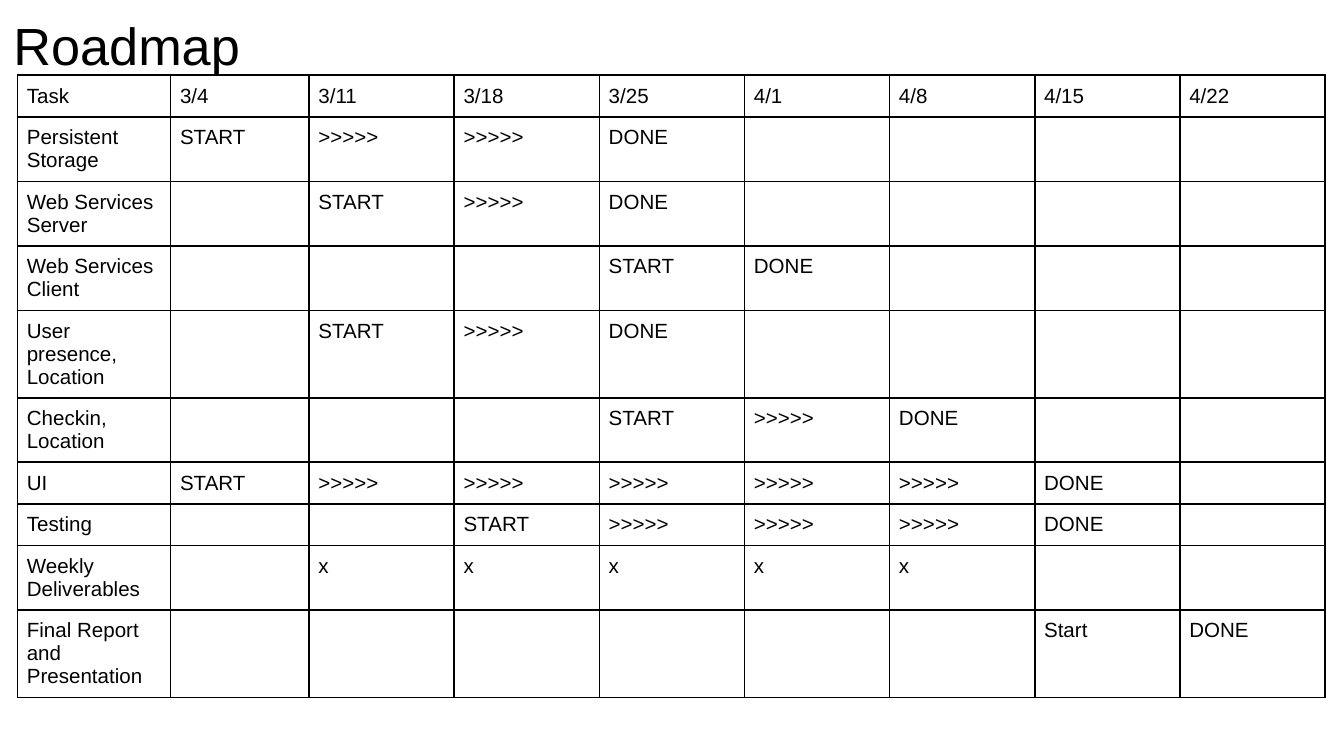
from lxml import etree
from pptx import Presentation
from pptx.dml.color import RGBColor
from pptx.enum.text import MSO_ANCHOR, MSO_AUTO_SIZE, PP_ALIGN
from pptx.oxml.ns import qn
from pptx.util import Inches, Pt

TOP, LEFT, NO_FIT = MSO_ANCHOR.TOP, PP_ALIGN.LEFT, MSO_AUTO_SIZE.NONE
INK = "000000"
GO, MORE, DONE = "START", ">>>>>", "DONE"


def write(frame, text, size, color=INK, font="Arial"):
    frame.text = text
    frame.word_wrap = True
    for paragraph in frame.paragraphs:
        paragraph.alignment = LEFT
        for run in paragraph.runs:
            run.font.size = Pt(size)
            run.font.name = font
            run.font.color.rgb = RGBColor.from_string(color)
        if not text:
            ending = etree.SubElement(paragraph._p, qn("a:endParaRPr"), sz=str(size * 100))
            etree.SubElement(ending, qn("a:latin"), typeface=font)


def outline(cell, color=INK, width=1):
    properties = cell._tc.get_or_add_tcPr()
    for position, side in enumerate(("a:lnL", "a:lnR", "a:lnT", "a:lnB")):
        line = etree.Element(qn(side), w=str(Pt(width)))
        fill = etree.SubElement(line, qn("a:solidFill"))
        etree.SubElement(fill, qn("a:srgbClr"), val=color)
        properties.insert(position, line)


prs = Presentation()
prs.slide_width = Inches(10)
prs.slide_height = prs.slide_width * 9 // 16
slide = prs.slides.add_slide(prs.slide_layouts[5])

title = slide.shapes.title
title.left, title.top = 0, 0
title.width, title.height = Inches(9.32), Inches(0.63)
heading = title.text_frame
heading.auto_size = NO_FIT
heading.vertical_anchor = TOP
heading.margin_left = heading.margin_right = Inches(0.1)
heading.margin_top = heading.margin_bottom = Inches(0.1)
write(heading, "Roadmap", 28)

weeks = ["3/4", "3/11", "3/18", "3/25", "4/1", "4/8", "4/15", "4/22"]
tasks = [
    ("Task", 0, weeks),
    ("Persistent Storage", 0, [GO, MORE, MORE, DONE]),
    ("Web Services\nServer", 1, [GO, MORE, DONE]),
    ("Web Services Client", 3, [GO, DONE]),
    ("User presence, Location", 1, [GO, MORE, DONE]),
    ("Checkin, Location", 3, [GO, MORE, DONE]),
    ("UI", 0, [GO] + [MORE] * 5 + [DONE]),
    ("Testing", 2, [GO] + [MORE] * 3 + [DONE]),
    ("Weekly Deliverables", 1, ["x"] * 5),
    ("Final Report and Presentation", 6, ["Start", DONE]),
]
column_widths = [1.14, 1.03] + [1.08] * 7
row_heights = [0.27, 0.42, 0.43, 0.43, 0.58, 0.42, 0.27, 0.27, 0.42, 0.58]

roadmap = slide.shapes.add_table(
    len(tasks), len(column_widths), Inches(0.13), Inches(0.56),
    Inches(9.74), Inches(4.87)).table
roadmap.first_row = roadmap.horz_banding = False
for column, width in zip(roadmap.columns, column_widths):
    column.width = Inches(width)

for row, height, (task, first_week, progress) in zip(roadmap.rows, row_heights, tasks):
    row.height = Inches(height)
    idle_after = len(weeks) - first_week - len(progress)
    entries = [task] + [""] * first_week + progress + [""] * idle_after
    for cell, entry in zip(row.cells, entries):
        cell.margin_left = cell.margin_right = Inches(0.07)
        cell.margin_top = cell.margin_bottom = Inches(0.07)
        cell.vertical_anchor = TOP
        cell.fill.background()
        write(cell.text_frame, entry, 11)
        outline(cell)

prs.save("out.pptx")
